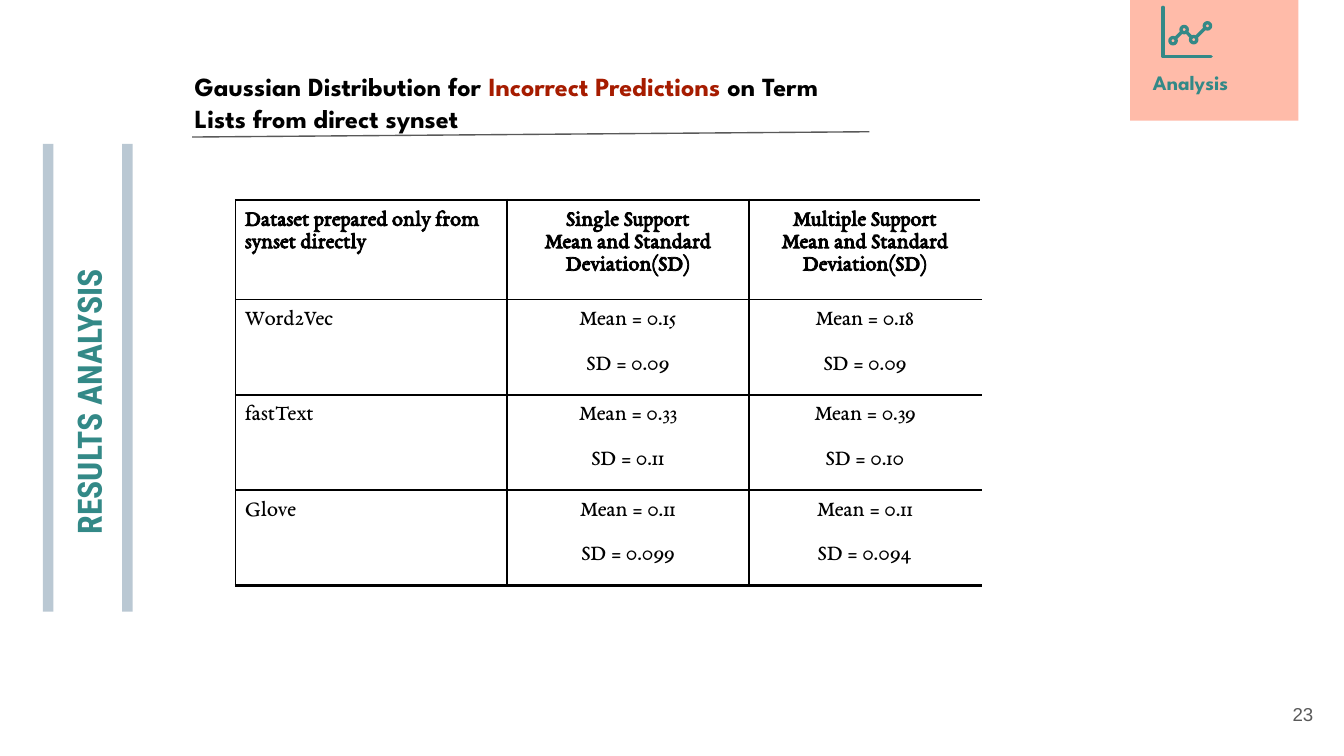
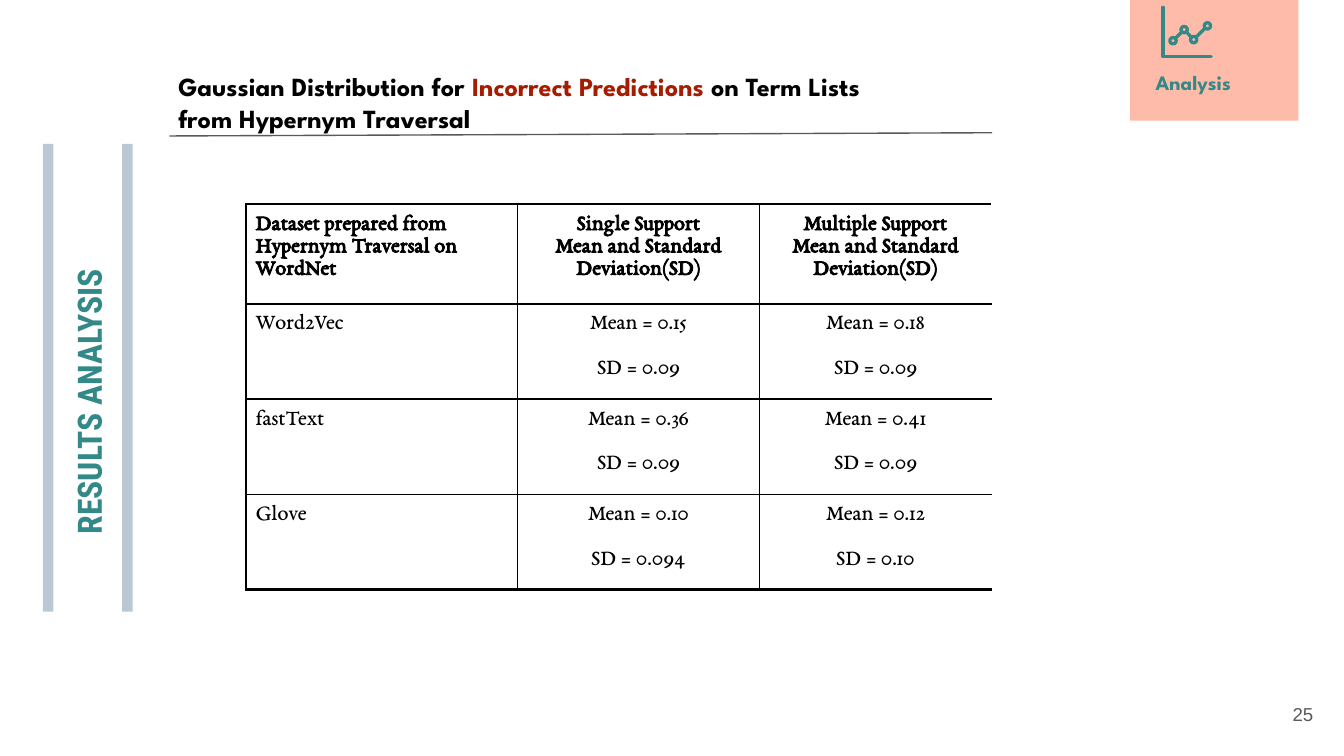
import lxml.etree
import pptx
import pptx.dml.color
import pptx.enum.shapes
import pptx.enum.text
import pptx.oxml.ns
import pptx.util

Cm, Pt = pptx.util.Cm, pptx.util.Pt
RGB = pptx.dml.color.RGBColor.from_string
ALIGN, ANCHOR = pptx.enum.text.PP_ALIGN, pptx.enum.text.MSO_ANCHOR
SHAPE = pptx.enum.shapes.MSO_SHAPE
qn = pptx.oxml.ns.qn

THEME = {
    "teal": "338987", "pink": "FFB8A5", "bar": "BAC8D3", "rule": "595959",
    "black": "000000", "white": "FFFFFF", "accent": "A61C00",
    "title": {"name": "League Spartan", "size": Pt(14), "bold": True},
    "tag": {"name": "League Spartan", "size": Pt(11), "bold": True},
    "side": {"name": "Roboto Condensed", "size": Pt(18), "bold": True},
    "number": {"name": "Arial", "size": Pt(10), "bold": False},
    "head": {"name": "EB Garamond", "size": Pt(12), "bold": True},
    "body": {"name": "EB Garamond", "size": Pt(12), "bold": False},
}

SLIDES = [
    {
        "number": "23", "ending": " on Term Lists from direct synset",
        "title_box": (3.43, 1.09, 13.21, 1.6), "rule": (3.63, 2.59, 16.43, 2.49),
        "tag_left": 21.54, "table_at": (4.45, 3.78),
        "dataset": "Dataset prepared only from synset directly",
        "rows": [("Word2Vec", ("0.15", "0.09"), ("0.18", "0.09")),
                 ("fastText", ("0.33", "0.11"), ("0.39", "0.10")),
                 ("Glove", ("0.11", "0.099"), ("0.11", "0.094"))],
    },
    {
        "number": "25", "ending": " on Term Lists from Hypernym Traversal",
        "title_box": (3.12, 1.09, 13.61, 1.68), "rule": (3.2, 2.57, 18.75, 2.51),
        "tag_left": 21.59, "table_at": (4.65, 3.86),
        "dataset": "Dataset prepared from Hypernym Traversal on WordNet",
        "rows": [("Word2Vec", ("0.15", "0.09"), ("0.18", "0.09")),
                 ("fastText", ("0.36", "0.09"), ("0.41", "0.09")),
                 ("Glove", ("0.10", "0.094"), ("0.12", "0.10"))],
    },
]
COLUMNS = (5.13, 4.57, 4.39)
ROW_HEIGHT = 1.62
AXES = [(21.98, 0.14), (21.98, 1.07), (22.89, 1.07)]
TREND = [(22.17, 0.77), (22.38, 0.56), (22.56, 0.75), (22.82, 0.49)]
DOT = 0.12


def add_run(p, text, style, color):
    r = p.add_run()
    r.text = text
    for key, value in THEME[style].items():
        setattr(r.font, key, value)
    r.font.color.rgb = RGB(THEME[color])


def add_text(sl, box, runs, style, align=ALIGN.LEFT, anchor=ANCHOR.TOP):
    """Add a one-paragraph text box; runs holds (text, colour) pairs."""
    sp = sl.shapes.add_textbox(*map(Cm, box))
    tf = sp.text_frame
    fmt = {"word_wrap": True, "vertical_anchor": anchor}
    fmt.update({f"margin_{side}": Cm(0.25) for side in ("left", "right", "top", "bottom")})
    for key, value in fmt.items():
        setattr(tf, key, value)
    p = tf.paragraphs[0]
    p.alignment = align
    for text, color in runs:
        add_run(p, text, style, color)
    return sp


prs = pptx.Presentation()
prs.slide_width, prs.slide_height = Cm(25.4), Cm(14.29)

for page in SLIDES:
    sl = prs.slides.add_slide(prs.slide_layouts[6])

    # Corner band and side bars
    blocks = [((21.36, -0.18, 3.18, 2.46), "pink", 0),
              ((-3.51, 7.04, 8.84, 0.2), "bar", 270),
              ((-2.01, 7.04, 8.84, 0.2), "bar", 270)]
    for box, color, rotation in blocks:
        sp = sl.shapes.add_shape(SHAPE.RECTANGLE, *map(Cm, box))
        sp.shadow.inherit = False
        sp.fill.solid()
        sp.fill.fore_color.rgb = RGB(THEME[color])
        sp.line.fill.background()
        sp.rotation = rotation
        if color == "pink":
            clr = sp.fill._xPr.find(".//" + qn("a:srgbClr"))
            lxml.etree.SubElement(clr, qn("a:alpha"), val="95000")

    add_text(sl, (23.55, 12.95, 1.52, 1.09), [(page["number"], "rule")], "number",
             ALIGN.RIGHT, ANCHOR.MIDDLE)
    side = add_text(sl, (-6.38, 6.58, 15.34, 2.03), [("RESULTS ANALYSIS", "teal")], "side",
                    ALIGN.CENTER, ANCHOR.BOTTOM)
    side.rotation = 270

    # Line chart icon
    icon = []
    for points in (AXES, TREND):
        pts = [(Cm(x), Cm(y)) for x, y in points]
        fb = sl.shapes.build_freeform(*pts[0])
        fb.add_line_segments(pts[1:], close=False)
        sp = fb.convert_to_shape()
        sp.fill.background()
        icon.append(sp)
    for x, y in TREND:
        sp = sl.shapes.add_shape(SHAPE.OVAL, Cm(x - DOT / 2), Cm(y - DOT / 2), Cm(DOT), Cm(DOT))
        sp.fill.solid()
        sp.fill.fore_color.rgb = RGB(THEME["pink"])
        icon.append(sp)
    for sp in icon:
        sp.shadow.inherit = False
        sp.line.color.rgb = RGB(THEME["teal"])
        sp.line.width = Pt(1.75)
        sp.line._get_or_add_ln().set("cap", "rnd")

    # Title and rule
    add_text(sl, page["title_box"],
             [("Gaussian Distribution for ", "black"), ("Incorrect Predictions", "accent"),
              (page["ending"], "black")], "title")
    rule = sl.shapes.add_connector(pptx.enum.shapes.MSO_CONNECTOR.STRAIGHT,
                                   *map(Cm, page["rule"]))
    rule.line.color.rgb = RGB(THEME["rule"])
    rule.line.width = Pt(0.75)
    lxml.etree.SubElement(rule._element.spPr, qn("a:effectLst"))

    # Results table
    rows = [[[page["dataset"]],
             ["Single Support", "Mean and Standard Deviation(SD)"],
             ["Multiple Support", "Mean and Standard", "Deviation(SD)"]]]
    for model, *results in page["rows"]:
        rows.append([[model]] + [[f"Mean = {mean}", f"SD = {sd}"] for mean, sd in results])
    last_row, last_col = len(rows) - 1, len(COLUMNS) - 1
    left, top = page["table_at"]
    tbl = sl.shapes.add_table(len(rows), len(COLUMNS), Cm(left), Cm(top),
                              Cm(sum(COLUMNS)), Cm(ROW_HEIGHT * len(rows))).table
    tbl.first_row = tbl.horz_banding = False
    for col, width in zip(tbl.columns, COLUMNS):
        col.width = Cm(width)
    for i, row in enumerate(rows):
        tbl.rows[i].height = Cm(ROW_HEIGHT)
        for j, lines in enumerate(row):
            cell = tbl.cell(i, j)
            cell.fill.background()
            for edge in ("left", "right", "top", "bottom"):
                setattr(cell, f"margin_{edge}", Cm(0.18))
            for n, line in enumerate(lines):
                tf = cell.text_frame
                p = tf.paragraphs[0] if n == 0 else tf.add_paragraph()
                p.alignment = ALIGN.CENTER if j else ALIGN.LEFT
                if i and n:
                    p.space_before = Pt(12)
                add_run(p, line, "body" if i else "head", "black")
            borders = [("L", 1 if j else 0.75, "black"),
                       ("R", 1, "white" if j == last_col else "black"),
                       ("T", 1 if i else 1.5, "black"),
                       ("B", 1.5 if i == last_row else 1, "black")]
            tcPr = cell._tc.get_or_add_tcPr()
            for n, (edge, width, color) in enumerate(borders):
                ln = lxml.etree.Element(qn(f"a:ln{edge}"), w=str(Pt(width)))
                fill = lxml.etree.SubElement(ln, qn("a:solidFill"))
                lxml.etree.SubElement(fill, qn("a:srgbClr"), val=THEME[color])
                tcPr.insert(n, ln)

    add_text(sl, (page["tag_left"], 1.09, 2.54, 0.86), [("Analysis", "teal")], "tag")

prs.save("out.pptx")
